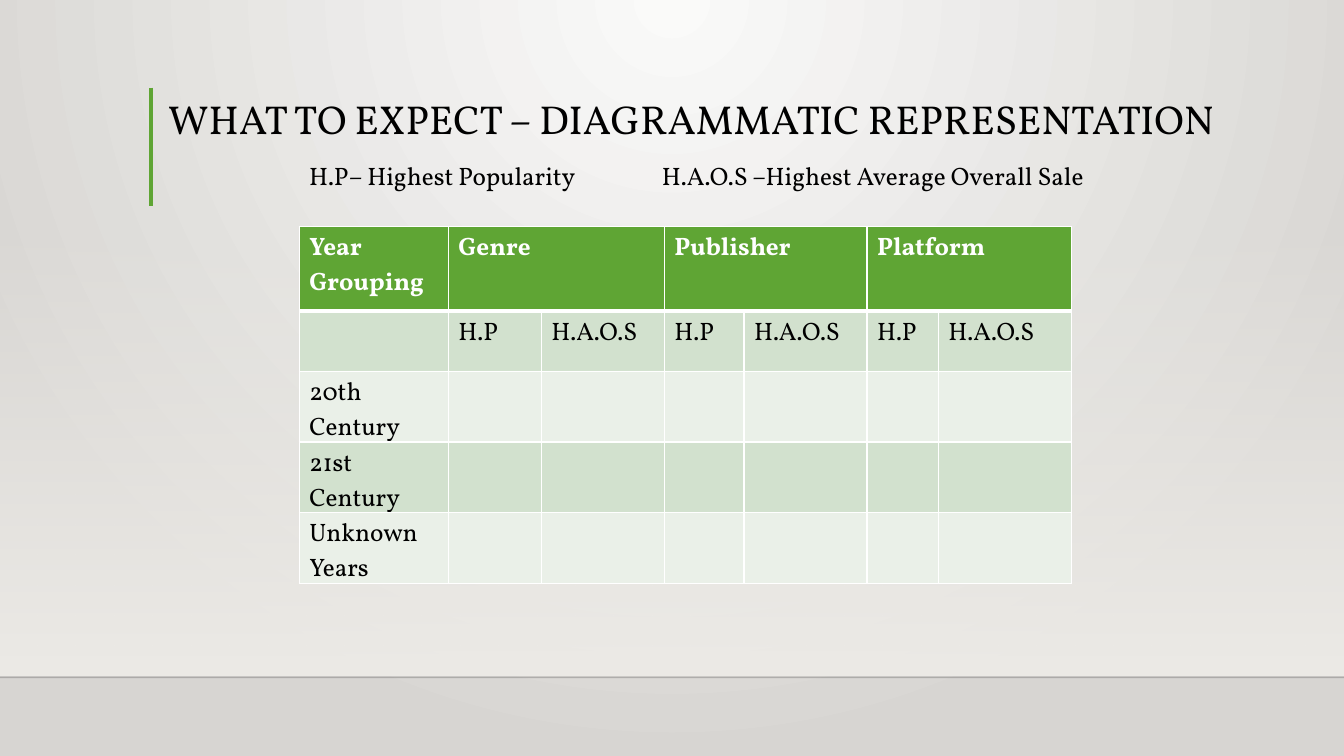
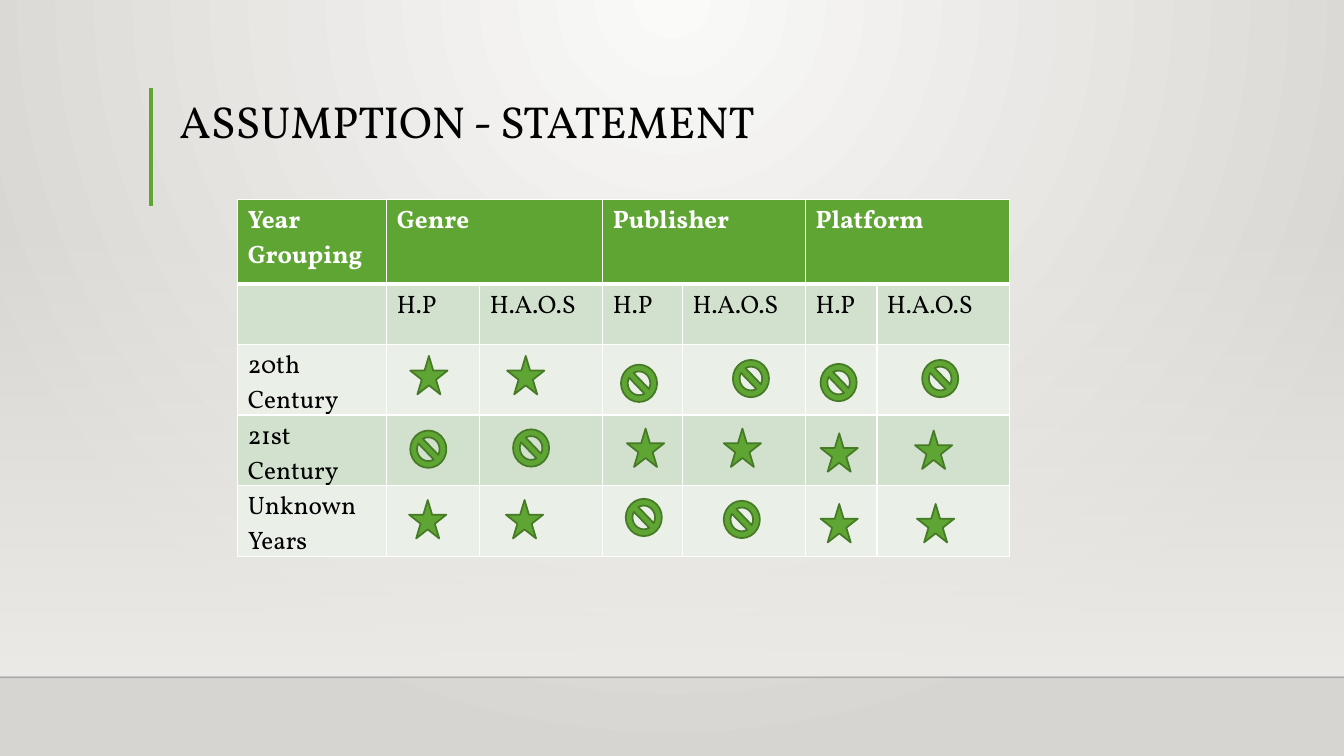
from lxml import etree
from pptx import Presentation
from pptx.dml.color import RGBColor
from pptx.enum.shapes import MSO_CONNECTOR, MSO_SHAPE
from pptx.enum.text import MSO_ANCHOR
from pptx.oxml.ns import qn
from pptx.util import Cm, Pt

STRAIGHT = MSO_CONNECTOR.STRAIGHT
RECTANGLE = MSO_SHAPE.RECTANGLE
STAR = MSO_SHAPE.STAR_5_POINT
BAN = MSO_SHAPE.NO_SYMBOL
TOP, BOTTOM = MSO_ANCHOR.TOP, MSO_ANCHOR.BOTTOM

BLACK = RGBColor(0x00, 0x00, 0x00)
WHITE = RGBColor(0xFF, 0xFF, 0xFF)
GREEN = RGBColor(0x5F, 0xA5, 0x34)
DARK_GREEN = RGBColor(0x46, 0x7A, 0x26)
BAND_DARK = RGBColor(0xD2, 0xE1, 0xCE)
BAND_LIGHT = RGBColor(0xEA, 0xF0, 0xE8)
GLOW = RGBColor(0xFA, 0xFA, 0xF9)
STONE = RGBColor(0xD7, 0xD5, 0xD2)
MIST = RGBColor(0xED, 0xEB, 0xE7)

FONT = "Vollkorn"
WIDTH, HEIGHT = 33.87, 19.05
COLUMNS = (3.76, 2.34, 3.1, 2.01, 3.1, 1.8, 3.35)
ROWS = (2.13, 1.52, 1.52, 1.52, 1.52)
GROUPS = ("Genre", "Publisher", "Platform")
TABLE_TEXT = [
    ["Year Grouping"] + [text for group in GROUPS for text in (group, "")],
    [""] + ["H.P", "H.A.O.S"] * len(GROUPS),
    ["20th Century"],
    ["21st Century"],
    ["Unknown Years"],
]

STAR_SIZE = (0.94, 0.97)
BAN_SIZE = (0.91, 0.94)
STAR_PLACES = [
    (10.34, 8.97), (12.78, 8.97),
    (15.8, 10.8), (18.24, 10.8), (20.68, 10.92), (23.06, 10.85),
    (10.31, 12.6), (12.75, 12.6), (20.68, 12.7), (23.11, 12.7),
]
BAN_PLACES = [
    (15.65, 9.19), (18.47, 9.07), (20.68, 9.17), (23.24, 9.07),
    (10.34, 10.85), (12.93, 10.82),
    (15.77, 12.57), (18.24, 12.62),
]


def write(tf, text, size=18, color=BLACK, bold=False, spacing=None):
    p = tf.paragraphs[0]
    if spacing:
        p.line_spacing = spacing
    r = p.add_run()
    r.text = text
    r.font.name = FONT
    r.font.size = Pt(size)
    r.font.bold = bold
    r.font.color.rgb = color
    return p


def set_gradient(fill, first, last):
    fill.gradient()
    for stop, color in zip(fill.gradient_stops, (first, last)):
        stop.color.rgb = color


def set_opacity(element, percent):
    """Apply opacity to the first colour found in the element."""
    color = next(element.iter(qn("a:srgbClr")))
    etree.SubElement(color, qn("a:alpha"), val=str(percent * 1000))


def set_borders(cell, **widths):
    """Draw white cell borders; widths in points by side (L, R, T, B)."""
    tcPr = cell._tc.get_or_add_tcPr()
    for side in "LRTB":
        width = Pt(widths.get(side, 1))
        ln = etree.SubElement(tcPr, qn(f"a:ln{side}"), w=str(width))
        solid = etree.SubElement(ln, qn("a:solidFill"))
        etree.SubElement(solid, qn("a:srgbClr"), val=str(WHITE))


class Deck:
    def __init__(self):
        self.prs = Presentation()
        self.prs.slide_width = Cm(WIDTH)
        self.prs.slide_height = Cm(HEIGHT)
        self.s = None

    def slide(self):
        """Start a slide with the shared backdrop, floor line and title bar."""
        self.s = self.prs.slides.add_slide(self.prs.slide_layouts[6])
        self.backdrop()
        haze = self.shape(RECTANGLE, 0, 5.59, WIDTH, 11.43)
        set_gradient(haze.fill, MIST, MIST)
        haze.fill.gradient_angle = 270
        set_opacity(haze.element, 0)
        floor = self.line(0, 17.07, WIDTH, 17.07, BLACK, 1)
        set_opacity(floor.element, 20)
        self.line(3.81, 2.21, 3.81, 5.18, GREEN, 3)

    def backdrop(self):
        """Fill the background with a glow spreading from the top centre."""
        set_gradient(self.s.background.fill, GLOW, STONE)
        lin = next(self.s.element.iter(qn("a:lin")))
        grad = lin.getparent()
        grad.remove(lin)
        circle = etree.SubElement(grad, qn("a:path"), {"path": "circle"})
        etree.SubElement(circle, qn("a:fillToRect"),
                         l="43000", t="0", r="43000", b="100000")

    def shape(self, kind, x, y, w, h, fill=None, line=None):
        sp = self.s.shapes.add_shape(kind, Cm(x), Cm(y), Cm(w), Cm(h))
        sp.shadow.inherit = False
        if fill is not None:
            sp.fill.solid()
            sp.fill.fore_color.rgb = fill
        if line is None:
            sp.line.fill.background()
        else:
            sp.line.color.rgb = line
            sp.line.width = Pt(1.25)
        return sp

    def line(self, x1, y1, x2, y2, color, width):
        cx = self.s.shapes.add_connector(STRAIGHT, Cm(x1), Cm(y1), Cm(x2), Cm(y2))
        cx.line.color.rgb = color
        cx.line.width = Pt(width)
        etree.SubElement(cx.element.spPr, qn("a:effectLst"))
        return cx

    def text(self, text, x, y, w, h, anchor=TOP, **style):
        tf = self.s.shapes.add_textbox(Cm(x), Cm(y), Cm(w), Cm(h)).text_frame
        tf.word_wrap = True
        tf.vertical_anchor = anchor
        return write(tf, text, **style)

    def title(self, text, x, y, w, h, size):
        self.text(text, x, y, w, h, anchor=BOTTOM, size=size, spacing=0.9)

    def legend(self, text, x, y, w, h, tab):
        p = self.text(text, x, y, w, h)
        tabs = etree.SubElement(p._p.get_or_add_pPr(), qn("a:tabLst"))
        etree.SubElement(tabs, qn("a:tab"), pos=str(Cm(tab)), algn="l")

    def table(self, x, y):
        frame = self.s.shapes.add_table(len(ROWS), len(COLUMNS), Cm(x), Cm(y),
                                        Cm(sum(COLUMNS)), Cm(sum(ROWS)))
        table = frame.table
        for column, width in zip(table.columns, COLUMNS):
            column.width = Cm(width)
        for row, height in zip(table.rows, ROWS):
            row.height = Cm(height)
        for i in range(len(ROWS)):
            for j in range(len(COLUMNS)):
                text = TABLE_TEXT[i][j] if j < len(TABLE_TEXT[i]) else ""
                self.cell(table.cell(i, j), text, i)
        for j in range(1, len(COLUMNS), 2):
            table.cell(0, j).merge(table.cell(0, j + 1))

    def cell(self, cell, text, row):
        header = row == 0
        set_borders(cell, T=3 if row == 1 else 1, B=3 if header else 1)
        cell.fill.solid()
        band = BAND_DARK if row % 2 else BAND_LIGHT
        cell.fill.fore_color.rgb = GREEN if header else band
        if text:
            write(cell.text_frame, text, bold=header,
                  color=WHITE if header else BLACK)

    def icons(self, kind, size, places):
        for x, y in places:
            self.shape(kind, x, y, *size, fill=GREEN, line=DARK_GREEN)


def main():
    deck = Deck()

    deck.slide()
    deck.title("WHAT TO EXPECT – DIAGRAMMATIC REPRESENTATION",
               3.99, 1.24, 29.87, 2.49, size=28.8)
    deck.table(7.54, 5.71)
    deck.legend("H.P– Highest Popularity\tH.A.O.S –Highest Average Overall Sale",
                7.54, 3.91, 21.23, 1.8, tab=8.89)

    deck.slide()
    deck.title("ASSUMPTION - STATEMENT", 4.27, 0.94, 26.44, 2.92, size=32)
    deck.table(5.99, 5.03)
    deck.icons(STAR, STAR_SIZE, STAR_PLACES)
    deck.icons(BAN, BAN_SIZE, BAN_PLACES)

    deck.prs.save("out.pptx")


if __name__ == "__main__":
    main()
